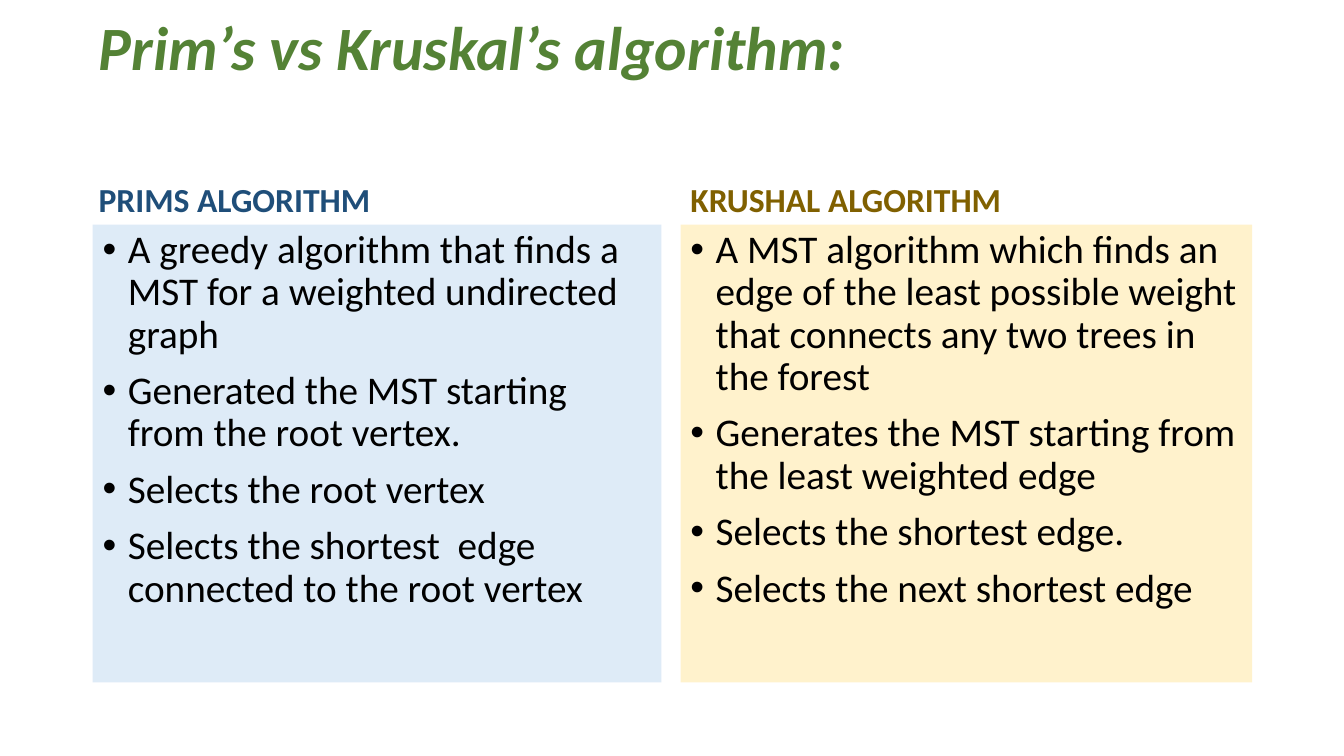
from dataclasses import dataclass

from lxml.etree import SubElement
from pptx import Presentation
from pptx.dml.color import RGBColor as RGB
from pptx.enum.shapes import MSO_SHAPE as Shape
from pptx.enum.text import MSO_ANCHOR as Anchor, MSO_AUTO_SIZE as AutoSize, PP_ALIGN as Align
from pptx.oxml.ns import qn
from pptx.util import Inches, Pt


@dataclass(frozen=True)
class Theme:
    font: str = "Calibri"
    title_size: int = 44
    heading_size: int = 24
    point_size: int = 28
    title: str = "548235"
    ink: str = "000000"
    prim: str = "1F4E79"
    prim_panel: str = "DEEBF7"
    kruskal: str = "806000"
    kruskal_panel: str = "FFF2CC"


theme = Theme()


def write(frame, lines, size, color, anchor, bold=False, italic=False, before=10):
    frame.text = "\n".join(lines)
    frame.word_wrap = True
    frame.auto_size = AutoSize.NONE
    frame.vertical_anchor = anchor
    for paragraph in frame.paragraphs:
        paragraph.alignment = Align.LEFT
        paragraph.line_spacing = 0.9
        paragraph.space_before = Pt(before)
        for run in paragraph.runs:
            run.font.name = theme.font
            run.font.size = Pt(size)
            run.font.bold = bold
            run.font.italic = italic
            run.font.color.rgb = RGB.from_string(color)


def add_bullets(frame):
    for paragraph in frame.paragraphs:
        properties = paragraph._p.get_or_add_pPr()
        properties.set("marL", str(Inches(0.25)))
        properties.set("indent", str(-Inches(0.25)))
        SubElement(properties, qn("a:buFont"), typeface="Arial")
        SubElement(properties, qn("a:buChar"), char="•")


deck = Presentation()
deck.slide_width, deck.slide_height = Inches(13.33), Inches(7.5)
slide = deck.slides.add_slide(deck.slide_layouts[5])

margin = Inches(0.88)
heading_top, heading_height = Inches(1.33), Inches(0.9)
panel_top, panel_height = heading_top + heading_height, Inches(4.54)

title = slide.shapes.title
title.left, title.top = margin, Inches(0.06)
title.width, title.height = Inches(11.5), Inches(0.89)
write(title.text_frame, ["Prim’s vs Kruskal’s algorithm:"], theme.title_size,
      theme.title, Anchor.MIDDLE, bold=True, italic=True, before=0)

# heading, heading left, panel left, width, heading colour, panel colour, points
algorithms = [
    ("PRIMS ALGORITHM", margin, Inches(0.92), Inches(5.64), theme.prim, theme.prim_panel, [
        "A greedy algorithm that finds a MST for a weighted undirected graph",
        "Generated the MST starting from the root vertex.",
        "Selects the root vertex",
        "Selects the shortest  edge connected to the root vertex",
    ]),
    ("KRUSHAL ALGORITHM", Inches(6.75), Inches(6.75), Inches(5.67), theme.kruskal, theme.kruskal_panel, [
        "A MST algorithm which finds an edge of the least possible weight "
        "that connects any two trees in the forest",
        "Generates the MST starting from the least weighted edge",
        "Selects the shortest edge.",
        "Selects the next shortest edge",
    ]),
]

for name, heading_left, panel_left, width, color, panel_color, points in algorithms:
    heading = slide.shapes.add_textbox(heading_left, heading_top, width, heading_height)
    write(heading.text_frame, [name], theme.heading_size, color, Anchor.BOTTOM, bold=True)

    panel = slide.shapes.add_shape(Shape.RECTANGLE, panel_left, panel_top, width, panel_height)
    panel.shadow.inherit = False
    panel.fill.solid()
    panel.fill.fore_color.rgb = RGB.from_string(panel_color)
    panel.line.fill.background()
    write(panel.text_frame, points, theme.point_size, theme.ink, Anchor.TOP)
    add_bullets(panel.text_frame)

deck.save("out.pptx")
